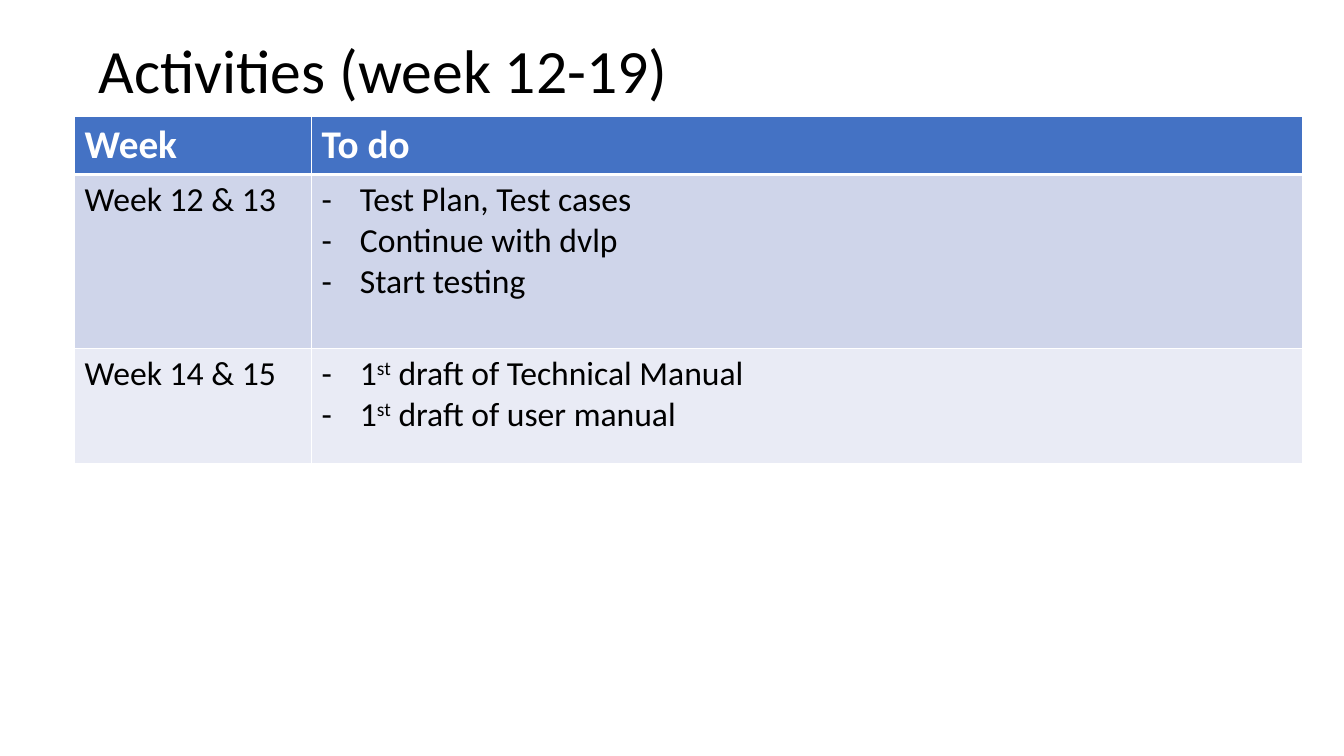
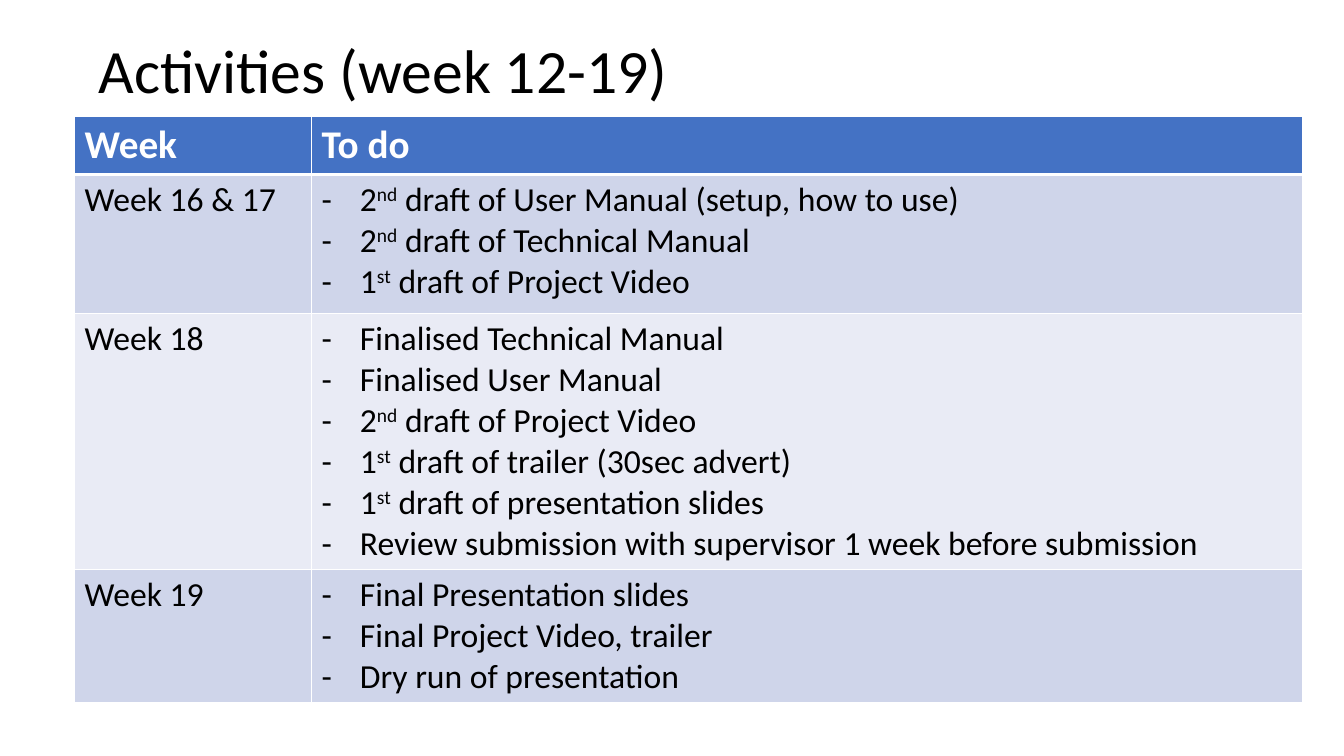
import pptx
import pptx.dml.color
import pptx.enum.text
import pptx.oxml
import pptx.oxml.ns
import pptx.util

Inches = pptx.util.Inches
Pt = pptx.util.Pt

FONT = "Calibri"
BLACK, WHITE = "000000", "FFFFFF"
HEAD = "4472C4"
BANDS = ["CFD5EA", "E9EBF5"]
TITLE = "Activities (week 12-19)"
LABELS = ["Week", "To do"]
COLS = [2.35, 9.83]
HEAD_HIGH = 0.58
INDENT = Inches(0.38)
TITLE_BOX = (0.88, 0, 11.5, 1.45)
GRID_AT = (0.74, 1.15)

PLANS = [
    [
        ("Week 12 & 13", 1.73, [
            "Test Plan, Test cases",
            "Continue with dvlp",
            "Start testing",
        ]),
        ("Week 14 & 15", 1.14, [
            "1^st^ draft of Technical Manual",
            "1^st^ draft of user manual",
        ]),
    ],
    [
        ("Week 16 & 17", 1.38, [
            "2^nd^ draft of User Manual (setup, how to use)",
            "2^nd^ draft of Technical Manual",
            "1^st^ draft of Project Video",
        ]),
        ("Week 18", 2.54, [
            "Finalised Technical Manual",
            "Finalised User Manual",
            "2^nd^ draft of Project Video",
            "1^st^ draft of trailer (30sec advert)",
            "1^st^ draft of presentation slides",
            "Review submission with supervisor 1 week before submission",
        ]),
        ("Week 19", 1.31, [
            "Final Presentation slides",
            "Final Project Video, trailer",
            "Dry run of presentation",
        ]),
    ],
]


def color(code):
    return pptx.dml.color.RGBColor.from_string(code)


def style(para, size, code, bold=False):
    for run in para.runs:
        font = run.font
        font.name, font.size, font.bold = FONT, Pt(size), bold
        font.color.rgb = color(code)


def add_title(slide, box):
    title = slide.shapes.title
    title.left, title.top, title.width, title.height = map(Inches, box)
    frame = title.text_frame
    frame.text = TITLE
    frame.vertical_anchor = pptx.enum.text.MSO_ANCHOR.MIDDLE
    para = frame.paragraphs[0]
    para.alignment = pptx.enum.text.PP_ALIGN.LEFT
    para.line_spacing = 0.9
    style(para, 44, BLACK)


def paint(cell, code, top=1, base=1):
    props = cell._tc.get_or_add_tcPr()
    for side, width in (("L", 1), ("R", 1), ("T", top), ("B", base)):
        props.append(pptx.oxml.parse_xml(
            f'<a:ln{side} {pptx.oxml.ns.nsdecls("a")} w="{Pt(width)}">'
            f'<a:solidFill><a:srgbClr val="{WHITE}"/></a:solidFill></a:ln{side}>'))
    cell.fill.solid()
    cell.fill.fore_color.rgb = color(code)


def add_bullet(para):
    props = para._p.get_or_add_pPr()
    props.set("marL", str(INDENT))
    props.set("indent", str(-INDENT))
    for tag, key, value in (("buFont", "typeface", FONT), ("buChar", "char", "-")):
        node = pptx.oxml.parse_xml(f'<a:{tag} {pptx.oxml.ns.nsdecls("a")}/>')
        node.set(key, value)
        props.append(node)


def fill_list(frame, items):
    for i, item in enumerate(items):
        para = frame.add_paragraph() if i else frame.paragraphs[0]
        add_bullet(para)
        for j, part in enumerate(item.split("^")):
            run = para.add_run()
            run.text = part
            if j % 2:
                run._r.get_or_add_rPr().set("baseline", "30000")
        style(para, 24, BLACK)


def add_plan(slide, left, top, plan):
    highs = [HEAD_HIGH] + [high for _, high, _ in plan]
    box = map(Inches, (left, top, sum(COLS), sum(highs)))
    table = slide.shapes.add_table(len(highs), len(COLS), *box).table
    for col, width in zip(table.columns, COLS):
        col.width = Inches(width)
    for row, high in zip(table.rows, highs):
        row.height = Inches(high)
    for cell, label in zip(table.rows[0].cells, LABELS):
        paint(cell, HEAD, base=3)
        cell.text_frame.text = label
        style(cell.text_frame.paragraphs[0], 28, WHITE, True)
    for i, (week, _, items) in enumerate(plan):
        name, tasks = table.rows[i + 1].cells
        for cell in (name, tasks):
            paint(cell, BANDS[i % 2], top=1 if i else 3)
        name.text_frame.text = week
        style(name.text_frame.paragraphs[0], 24, BLACK)
        fill_list(tasks.text_frame, items)


def main():
    deck = pptx.Presentation()
    deck.slide_width, deck.slide_height = Inches(13.33), Inches(7.5)
    for plan in PLANS:
        slide = deck.slides.add_slide(deck.slide_layouts[5])
        add_title(slide, TITLE_BOX)
        add_plan(slide, *GRID_AT, plan)
    deck.save("out.pptx")


if __name__ == "__main__":
    main()
